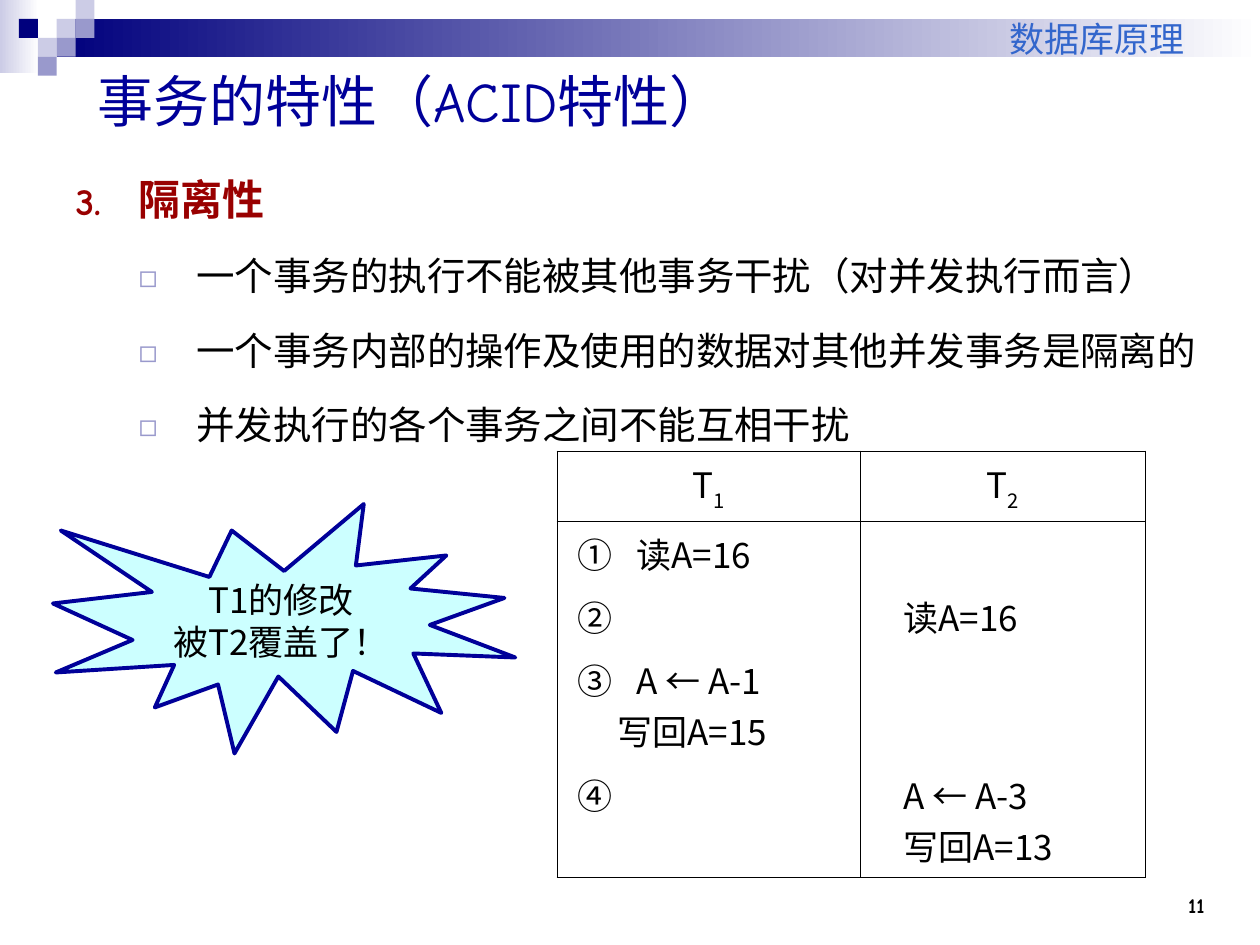
import pptx
import pptx.util
import pptx.dml.color
import pptx.enum.shapes
import pptx.enum.text
import pptx.oxml.ns
from lxml import etree

Inches = pptx.util.Inches
Pt = pptx.util.Pt
MSO_SHAPE = pptx.enum.shapes.MSO_SHAPE
ALIGN = pptx.enum.text.PP_ALIGN
ANCHOR = pptx.enum.text.MSO_ANCHOR
qn = pptx.oxml.ns.qn


def rgb(value):
    return pptx.dml.color.RGBColor.from_string(value)


def sub(parent, tag, **attrs):
    return etree.SubElement(parent, qn(tag), {k: str(v) for k, v in attrs.items()})


def add_run(p, text, size=20, font="Noto Sans CJK SC", color="000000",
            bold=False, baseline=0):
    r = p.add_run()
    r.text = text
    r.font.size, r.font.bold, r.font.name = Pt(size), bold, font
    r.font.color.rgb = rgb(color)
    rPr = r.font._element
    sub(rPr, "a:ea", typeface=font)
    if baseline:
        rPr.set("baseline", str(baseline * 1000))
    return r


def set_indent(p, left, first=0):
    pPr = p._p.get_or_add_pPr()
    pPr.set("marL", str(Inches(left)))
    pPr.set("indent", str(Inches(first)))
    return pPr


class SlideBuilder:
    navy, ink, red = "00007D", "000099", "990000"
    mid, pale = "9999CC", "CCCCE6"
    heading_font, list_font = "Comic Neue", "DejaVu Sans Mono"

    def __init__(self, prs):
        self.s = prs.slides.add_slide(prs.slide_layouts[1])

    def place(self, sp, x, y, w, h):
        sp.left, sp.top, sp.width, sp.height = map(Inches, (x, y, w, h))

    def shape(self, kind, x, y, w, h, fill, line=None):
        sp = self.s.shapes.add_shape(kind, *map(Inches, (x, y, w, h)))
        sp.shadow.inherit = False
        if isinstance(fill, tuple):
            sp.fill.gradient()
            sp.fill.gradient_angle = 0
            for stop, color in zip(sp.fill.gradient_stops, fill):
                stop.color.rgb = rgb(color)
        else:
            sp.fill.solid()
            sp.fill.fore_color.rgb = rgb(fill)
        if line:
            sp.line.color.rgb = rgb(line)
            sp.line.width = Pt(2.25)
        else:
            sp.line.fill.background()
        return sp

    def text(self, x, y, w, h, text, right=0.1, **fmt):
        tf = self.s.shapes.add_textbox(*map(Inches, (x, y, w, h))).text_frame
        tf.word_wrap = True
        tf.vertical_anchor = ANCHOR.BOTTOM
        tf.margin_right = Inches(right)
        p = tf.paragraphs[0]
        p.alignment = ALIGN.RIGHT
        add_run(p, text, font=self.heading_font, **fmt)

    def title(self, text):
        sp = self.s.shapes.title
        self.place(sp, 0.67, 0.42, 9, 0.75)
        tf = sp.text_frame
        tf.vertical_anchor = ANCHOR.MIDDLE
        tf.auto_size = pptx.enum.text.MSO_AUTO_SIZE.NONE
        p = tf.paragraphs[0]
        p.alignment = ALIGN.LEFT
        add_run(p, text, 32, self.heading_font, self.ink)

    def bullet(self, p, left, first, color, size, tag, **attrs):
        pPr = set_indent(p, left, first)
        sub(sub(pPr, "a:buClr"), "a:srgbClr", val=color)
        sub(pPr, "a:buSzPct", val=size * 1000)
        sub(pPr, "a:buFont", typeface="Noto Sans CJK SC")
        sub(pPr, tag, **attrs)

    def body(self, head, start, items):
        sp = self.s.placeholders[1]
        self.place(sp, 0.5, 1.17, 9.17, 5.83)
        tf = sp.text_frame
        tf.auto_size = pptx.enum.text.MSO_AUTO_SIZE.NONE
        p = tf.paragraphs[0]
        self.bullet(p, 0.5, -0.5, self.red, 90, "a:buAutoNum",
                    type="arabicPeriod", startAt=start)
        p.line_spacing, p.space_before = 1.4, Pt(0)
        add_run(p, head, 24, self.heading_font, self.red, bold=True)
        for item in items:
            p = tf.add_paragraph()
            p.level = 1
            self.bullet(p, 0.96, -0.46, self.mid, 80, "a:buChar", char="◻")
            p.line_spacing, p.space_before = 1.4, Pt(5.5)
            add_run(p, item, 22, self.list_font)

    def borders(self, cell, sides):
        tcPr = cell._tc.get_or_add_tcPr()
        for side in "LRTB":
            ln = sub(tcPr, "a:ln" + side, w=Pt(0.45))
            if side in sides:
                sub(sub(ln, "a:solidFill"), "a:srgbClr", val="000000")
            else:
                sub(ln, "a:noFill")
        cell.fill.background()

    def schedule(self, x, y, widths, heights, heads, rows):
        """Each row cell is a list of (text, left indent, first-line indent)."""
        t = self.s.shapes.add_table(
            len(heights), len(widths),
            *map(Inches, (x, y, sum(widths), sum(heights)))).table
        t.first_row = t.horz_banding = False
        for col, w in zip(t.columns, widths):
            col.width = Inches(w)
        for row, h in zip(t.rows, heights):
            row.height = Inches(h)
        for c, (name, index) in enumerate(heads):
            cell = t.cell(0, c)
            p = cell.text_frame.paragraphs[0]
            p.alignment = ALIGN.CENTER
            add_run(p, name)
            add_run(p, index, baseline=-30)
            self.borders(cell, "LRTB")
        for i, row in enumerate(rows, 1):
            sides = "LR" + ("T" if i == 1 else "") + ("B" if i == len(rows) else "")
            for c, lines in enumerate(row):
                cell = t.cell(i, c)
                tf = cell.text_frame
                for n, (text, left, first) in enumerate(lines):
                    p = tf.add_paragraph() if n else tf.paragraphs[0]
                    set_indent(p, left, first)
                    add_run(p, text)
                self.borders(cell, sides)

    def burst(self, x, y, w, h, lines):
        sp = self.shape(MSO_SHAPE.EXPLOSION1, x, y, w, h, "CCFFFF", self.ink)
        tf = sp.text_frame
        tf.word_wrap = True
        tf.vertical_anchor = ANCHOR.MIDDLE
        tf.margin_left = tf.margin_right = 0
        for n, line in enumerate(lines):
            p = tf.add_paragraph() if n else tf.paragraphs[0]
            p.alignment = ALIGN.CENTER
            add_run(p, line)


def main():
    prs = pptx.Presentation()
    prs.slide_width, prs.slide_height = Inches(10), Inches(7.5)
    b = SlideBuilder(prs)

    # Header band and mosaic squares
    rect, unit = MSO_SHAPE.RECTANGLE, 0.15
    b.shape(rect, 0, 0, 0.31, 0.58, (b.pale, "FFFFFF"))
    b.shape(rect, 0.45, 0.15, 9.55, 0.3, (b.navy, "FFFFFF"))
    squares = [(3, 1, b.pale), (4, 0, b.pale), (4, 1, b.mid), (2, 2, b.pale),
               (1, 1, b.navy), (3, 2, b.mid), (2, 3, b.mid)]
    for col, row, color in squares:
        b.shape(rect, col * unit, row * unit, unit, unit, color)

    # Page number and course name
    b.text(8.83, 6.83, 0.83, 0.5, "11", size=12, bold=True)
    b.text(3.83, 0, 5.92, 0.52, "数据库原理", right=0.35, color="3366CC")

    # Title and list
    b.title("事务的特性（ACID特性）")
    b.body("隔离性", 3, [
        "一个事务的执行不能被其他事务干扰（对并发执行而言）",
        "一个事务内部的操作及使用的数据对其他并发事务是隔离的",
        "并发执行的各个事务之间不能互相干扰"])

    # Schedule of the two transactions
    def step(text):
        return (text, 0.53, -0.47)

    def action(text):
        return (text, 0.24, 0)

    b.schedule(4.42, 3.58, [2.41, 2.26], [0.56, 0.5, 0.5, 0.91, 0.91],
               [("T", "1"), ("T", "2")],
               [([step("①\t读A=16")], []),
                ([step("②")], [action("读A=16")]),
                ([step("③\tA ← A-1"), ("写回A=15", 0.38, 0)], []),
                ([step("④")], [action("A ← A-3"), action("写回A=13")])])

    # Burst with the conclusion
    b.burst(0.42, 4, 3.67, 1.98, ["T1的修改", "被T2覆盖了！"])

    prs.save("out.pptx")


if __name__ == "__main__":
    main()
